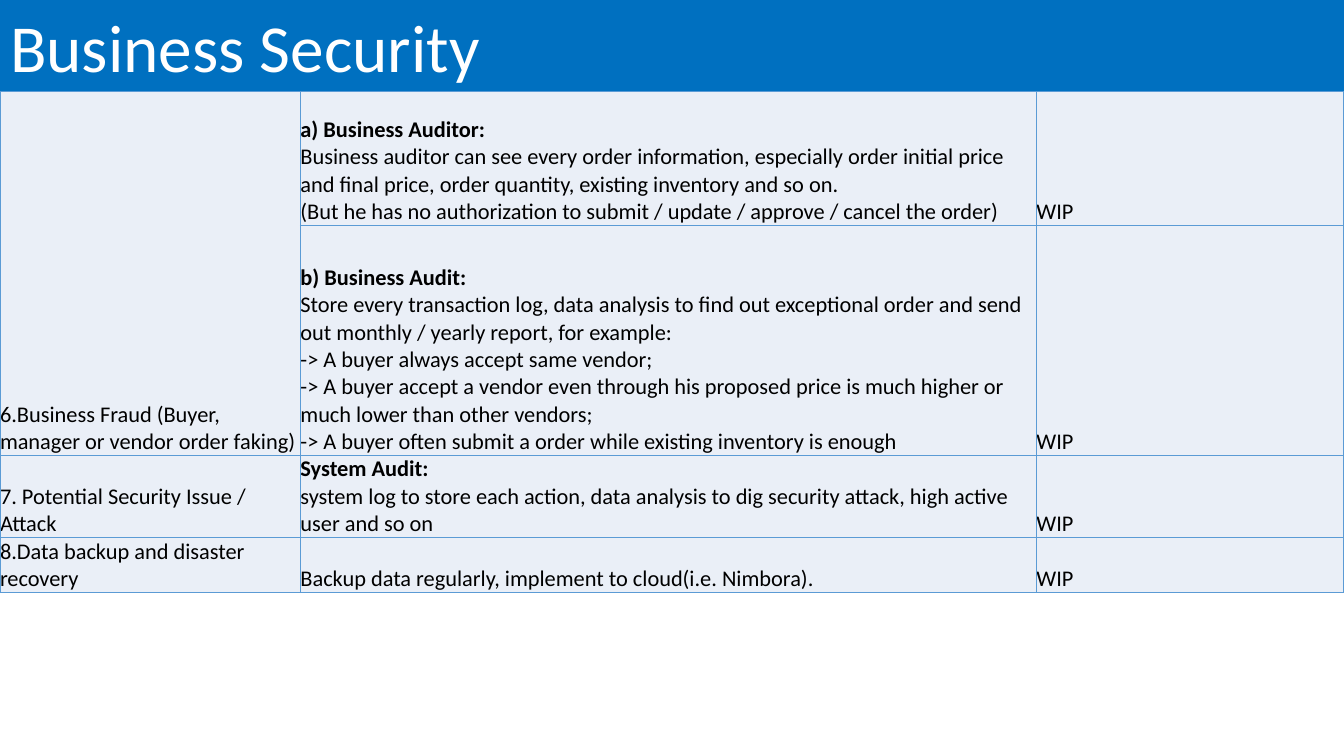
from lxml.etree import SubElement
from pptx import Presentation
from pptx.dml.color import RGBColor
from pptx.enum.text import MSO_ANCHOR, MSO_AUTO_SIZE, PP_ALIGN
from pptx.oxml.ns import qn
from pptx.util import Inches, Pt

ROWS = [
    ("6.Business Fraud (Buyer, manager or vendor order faking)",
     "a) Business Auditor:",
     ["Business auditor can see every order information, especially order initial price "
      "and final price, order quantity, existing inventory and so on.",
      "(But he has no authorization to submit / update / approve / cancel the order)"]),
    ("",
     "b) Business Audit:",
     ["Store every transaction log, data analysis to find out exceptional order and send "
      "out monthly / yearly report, for example:",
      "-> A buyer always accept same vendor;",
      "-> A buyer accept a vendor even through his proposed price is much higher or "
      "much lower than other vendors;",
      "-> A buyer often submit a order while existing inventory is enough"]),
    ("7. Potential Security Issue / Attack",
     "System Audit:",
     ["system log to store each action, data analysis to dig security attack, "
      "high active user and so on"]),
    ("8.Data backup and disaster recovery",
     "",
     ["Backup data regularly, implement to cloud(i.e. Nimbora)."]),
]
STATUS = "WIP"
COLUMN_WIDTHS = [2.98, 7.3, 3.05]
ROW_HEIGHTS = [1.33, 2.28, 0.8, 0.54]


def rgb(value):
    return RGBColor.from_string(value)


class SlideBuilder:
    font_name = "Calibri"
    title_fill = "0070C0"
    title_color = "FFFFFF"
    text_color = "000000"
    cell_fill = "EAEFF7"
    border_color = "5B9BD5"
    border_width = Pt(1)

    def __init__(self, presentation):
        self.slide = presentation.slides.add_slide(presentation.slide_layouts[5])

    def style_font(self, font, size, color):
        font.name = self.font_name
        font.size = Pt(size)
        font.color.rgb = rgb(color)

    def title(self, text, width, height):
        shape = self.slide.shapes.title
        shape.left = shape.top = 0
        shape.width, shape.height = Inches(width), Inches(height)
        shape.fill.solid()
        shape.fill.fore_color.rgb = rgb(self.title_fill)
        frame = shape.text_frame
        frame.text = text
        frame.auto_size = MSO_AUTO_SIZE.NONE
        frame.vertical_anchor = MSO_ANCHOR.MIDDLE
        paragraph = frame.paragraphs[0]
        paragraph.alignment = PP_ALIGN.LEFT
        self.style_font(paragraph.font, 48, self.title_color)

    def table(self, left, top, widths, heights):
        table = self.slide.shapes.add_table(
            len(heights), len(widths), Inches(left), Inches(top),
            Inches(sum(widths)), Inches(sum(heights))).table
        table.first_row = table.horz_banding = False
        for column, width in zip(table.columns, widths):
            column.width = Inches(width)
        for row, height in zip(table.rows, heights):
            row.height = Inches(height)
        return table

    def cell(self, cell, lines, heading=""):
        cell.margin_left = cell.margin_right = 0
        cell.margin_top = cell.margin_bottom = 0
        cell.vertical_anchor = MSO_ANCHOR.BOTTOM
        self.borders(cell)
        cell.fill.solid()
        cell.fill.fore_color.rgb = rgb(self.cell_fill)
        paragraph = cell.text_frame.paragraphs[0]
        self.style_font(paragraph.font, 16, self.text_color)
        all_lines = [heading, *lines] if heading else lines
        for index, line in enumerate(all_lines):
            if index:
                paragraph.add_line_break()
            run = paragraph.add_run()
            run.text = line
            if heading and index == 0:
                run.font.bold = True

    def borders(self, cell):
        properties = cell._tc.get_or_add_tcPr()
        for side in ("a:lnL", "a:lnR", "a:lnT", "a:lnB"):
            line = SubElement(properties, qn(side), w=str(self.border_width))
            fill = SubElement(line, qn("a:solidFill"))
            SubElement(fill, qn("a:srgbClr"), val=self.border_color)


def main():
    presentation = Presentation()
    presentation.slide_width = Inches(13.33)
    presentation.slide_height = Inches(7.5)
    builder = SlideBuilder(presentation)
    builder.title("Business Security", 13.33, 0.91)
    table = builder.table(0, 0.91, COLUMN_WIDTHS, ROW_HEIGHTS)
    for index, (issue, heading, measures) in enumerate(ROWS):
        builder.cell(table.cell(index, 0), [issue] if issue else [])
        builder.cell(table.cell(index, 1), measures, heading)
        builder.cell(table.cell(index, 2), [STATUS])
    table.cell(0, 0).merge(table.cell(1, 0))
    presentation.save("out.pptx")


if __name__ == "__main__":
    main()
